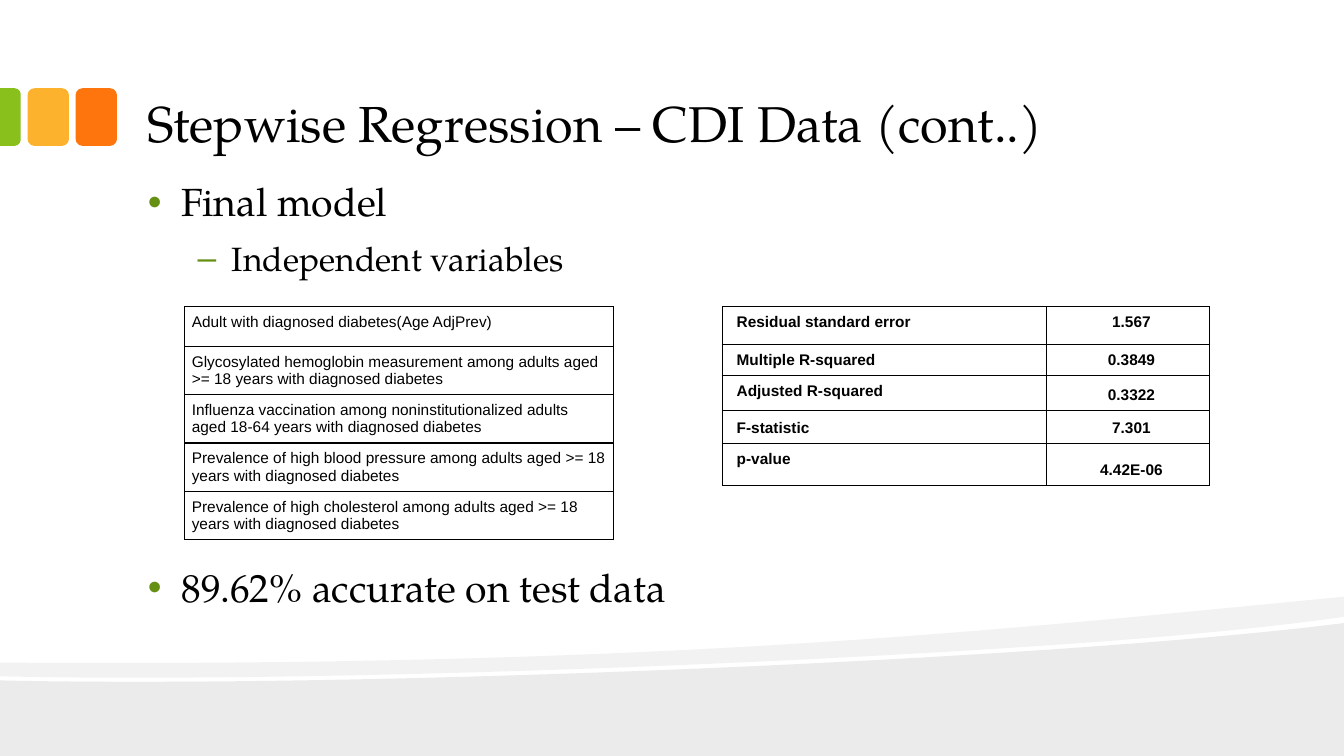
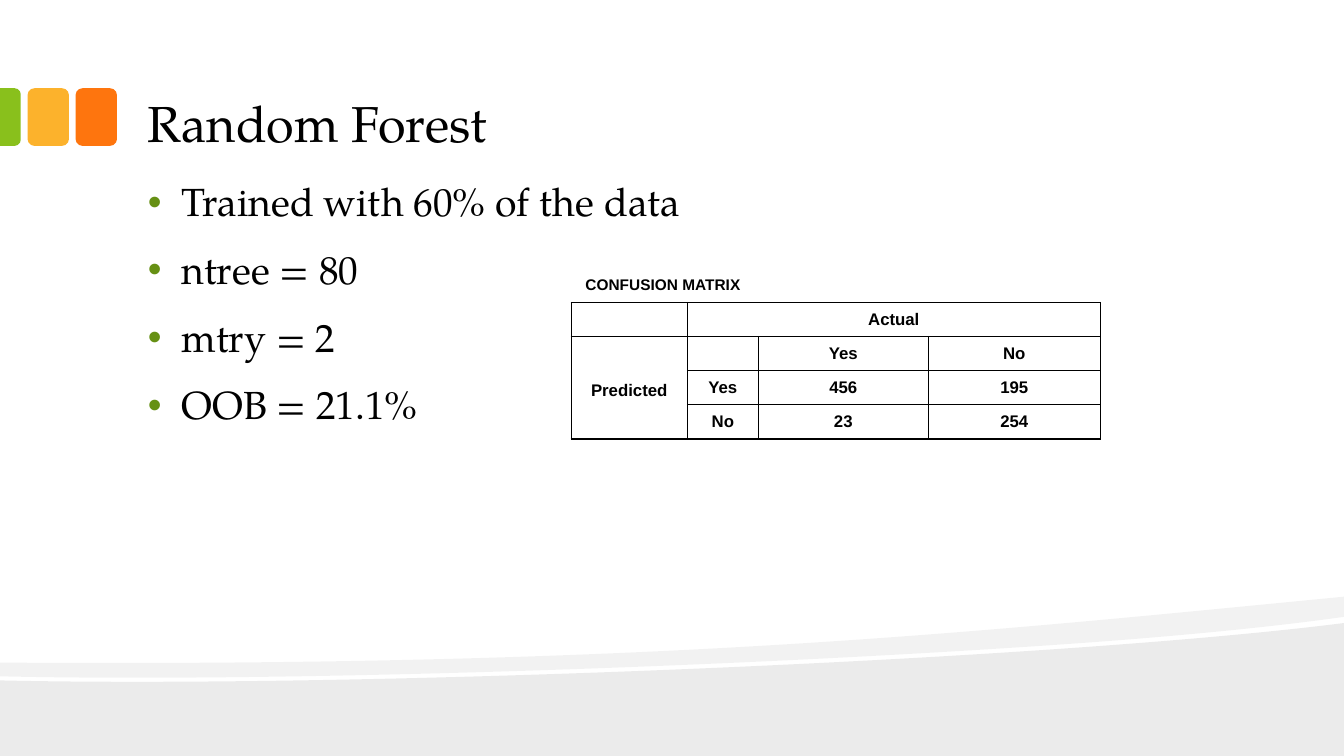
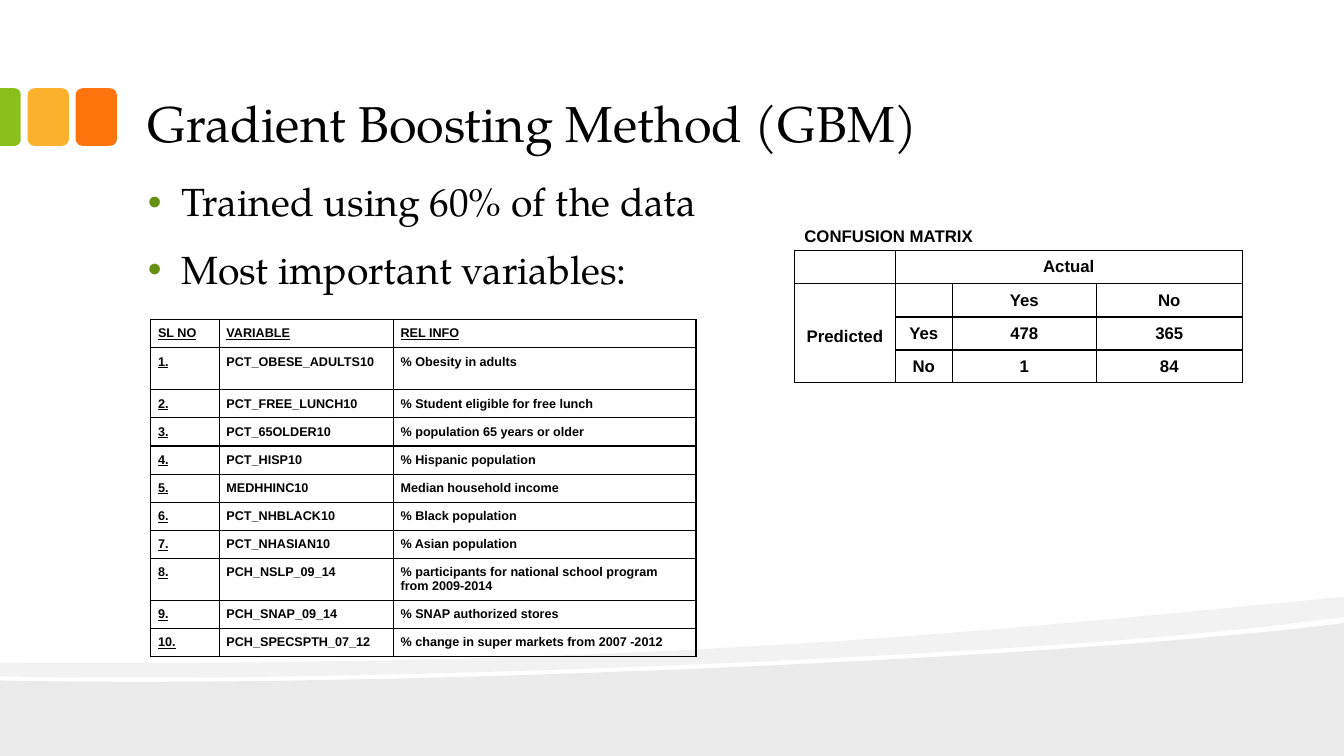
from lxml import etree
from pptx import Presentation
from pptx.dml.color import RGBColor
from pptx.enum.shapes import MSO_SHAPE
from pptx.enum.text import MSO_ANCHOR, MSO_AUTO_SIZE, PP_ALIGN
from pptx.oxml.ns import qn
from pptx.util import Pt

SERIF, SANS = "TeX Gyre Pagella", "Arial"
BLACK, BULLET = "000000", "669014"
GREEN, YELLOW, ORANGE = "89C01C", "FCB22C", "FE750E"
W, H = 960, 540
TITLE_BOX = (96, 12, 768, 101.8)
BODY_BOX = (96, 126, 768, 360)
LEVELS = [  # size, left margin, first-line indent, space before, bullet
    (28, 24, -24, 18, "•"),
    (24, 60, -24.5, 12, "–"),
]


def rgb(hex_text):
    return RGBColor.from_string(hex_text)


def write(p, text, size=12, font=SANS, bold=False, underline=False,
          align=PP_ALIGN.LEFT, color=BLACK):
    p.alignment = align
    if not text:
        # keeps an empty table cell from growing to the default text size
        etree.SubElement(p._p, qn("a:endParaRPr"), sz=str(size * 100))
        return
    r = p.add_run()
    r.text = text
    r.font.size, r.font.name = Pt(size), font
    r.font.bold, r.font.underline = bold, underline
    r.font.color.rgb = rgb(color)


def set_frame(sp, box, margins, anchor):
    sp.left, sp.top, sp.width, sp.height = map(Pt, box)
    tf = sp.text_frame
    tf.word_wrap = True
    tf.auto_size = MSO_AUTO_SIZE.NONE
    tf.vertical_anchor = anchor
    tf.margin_left = tf.margin_right = Pt(margins[0])
    tf.margin_top = tf.margin_bottom = Pt(margins[1])
    return tf


def paint(sp, color, opacity=100):
    sp.shadow.inherit = False
    sp.line.fill.background()
    sp.fill.solid()
    sp.fill.fore_color.rgb = rgb(color)
    if opacity < 100:
        clr = sp.fill._xPr.find(".//" + qn("a:srgbClr"))
        etree.SubElement(clr, qn("a:alpha"), val=str(opacity * 1000))
    return sp


def add_wave(slide, start, segments, opacity):
    """A segment is one point for a line, or three for a Bezier curve."""
    builder = slide.shapes.build_freeform(Pt(start[0]), Pt(start[1]))
    builder.add_line_segments([(Pt(x), Pt(y)) for seg in segments for x, y in seg])
    sp = builder.convert_to_shape()
    outline = sp.element.find(".//" + qn("a:path"))
    lines = iter(outline.findall(qn("a:lnTo")))
    for seg in segments:
        parts = [next(lines) for _ in seg]
        if len(parts) == 3:
            bezier = etree.Element(qn("a:cubicBezTo"))
            parts[0].addprevious(bezier)
            for part in parts:
                bezier.append(part[0])
                outline.remove(part)
    etree.SubElement(outline, qn("a:close"))
    return paint(sp, BLACK, opacity)


def add_waves(slide):
    lower = [[(W, H)], [(0, H)], [(0, 486)],
             [(253.4, 491.8), (750.2, 471.6), (W, 445)]]
    upper = [[(W, 440.6)],
             [(903.6, 448.6), (827.3, 455.8), (740.9, 461.5)],
             [(502.6, 477.4), (185.8, 487.4), (0, 483.1)],
             [(0, 473.3)],
             [(469.4, 476.6), (699.1, 451.4), (W, 426.2)]]
    return [add_wave(slide, (W, 445), lower, 8),
            add_wave(slide, (W, 426.2), upper, 5)]


def add_tabs(slide, top=63, width=29.6, height=41.2):
    tabs = []
    for left, color in ((54, ORANGE), (19.7, YELLOW)):
        sp = slide.shapes.add_shape(MSO_SHAPE.ROUNDED_RECTANGLE,
                                    Pt(left), Pt(top), Pt(width), Pt(height))
        tabs.append(paint(sp, color))
    depth = width / 2
    edge = slide.shapes.add_shape(
        MSO_SHAPE.ROUND_2_SAME_RECTANGLE, Pt((depth - height) / 2),
        Pt(top + (height - depth) / 2), Pt(height), Pt(depth))
    edge.rotation = 90
    edge.adjustments[0] = 0.292
    return tabs + [paint(edge, GREEN)]


def decorate_layout(layout, slide):
    """Draw the shared decoration and move it behind the layout's placeholders."""
    tree = layout.shapes.element
    for i, sp in enumerate(add_waves(slide) + add_tabs(slide)):
        tree.insert(2 + i, sp.element)


def add_bullet(p, text, level, before):
    size, margin, indent, _, mark = LEVELS[level]
    write(p, text, size, SERIF)
    p.level = level
    p.line_spacing = 0.9
    p.space_before = Pt(before)
    pPr = p._p.get_or_add_pPr()
    pPr.set("marL", str(Pt(margin)))
    pPr.set("indent", str(Pt(indent)))
    clr = etree.SubElement(pPr, qn("a:buClr"))
    etree.SubElement(clr, qn("a:srgbClr"), val=BULLET)
    etree.SubElement(pPr, qn("a:buChar"), char=mark)


def add_page(prs, layout, title, bullets):
    """Bullets are (text, level) or (text, level, space before)."""
    slide = prs.slides.add_slide(layout)
    tf = set_frame(slide.shapes.title, TITLE_BOX, (9.6, 4.8), MSO_ANCHOR.BOTTOM)
    write(tf.paragraphs[0], title, 36, SERIF)
    tf = set_frame(slide.placeholders[1], BODY_BOX, (9.6, 4.8), MSO_ANCHOR.TOP)
    for i, (text, level, *before) in enumerate(bullets):
        p = tf.add_paragraph() if i else tf.paragraphs[0]
        gap = before[0] if before else LEVELS[level][3]
        add_bullet(p, text, level, gap if i else 0)
    return slide


def add_borders(cell):
    tcPr = cell._tc.get_or_add_tcPr()
    for i, side in enumerate(("lnL", "lnR", "lnT", "lnB")):
        ln = etree.Element(qn("a:" + side), w=str(Pt(1)))
        fill = etree.SubElement(ln, qn("a:solidFill"))
        etree.SubElement(fill, qn("a:srgbClr"), val=BLACK)
        tcPr.insert(i, ln)


def add_grid(slide, left, top, columns, heights, rows, style,
             margins=(5.2, 5, 5.2, 4.2)):
    """style(row, column) gives a cell's anchor and its text format.

    margins are left, top, right, bottom.
    """
    table = slide.shapes.add_table(len(rows), len(columns), Pt(left), Pt(top),
                                   Pt(sum(columns)), Pt(sum(heights))).table
    table.first_row = table.horz_banding = False
    for column, width in zip(table.columns, columns):
        column.width = Pt(width)
    for row, height in zip(table.rows, heights):
        row.height = Pt(height)
    for i, values in enumerate(rows):
        for j, value in enumerate(values):
            cell = table.cell(i, j)
            anchor, fmt = style(i, j)
            (cell.margin_left, cell.margin_top,
             cell.margin_right, cell.margin_bottom) = map(Pt, margins)
            cell.vertical_anchor = anchor
            cell.fill.background()
            add_borders(cell)
            write(cell.text_frame.paragraphs[0], value, **fmt)
    return table


def add_confusion_matrix(slide, left, top, columns, row_height, counts, caption):
    """counts are the two rows of numbers; caption is (size, inset, height)."""
    (yes_yes, yes_no), (no_yes, no_no) = counts
    rows = [("", "Actual", "", ""), ("Predicted", "", "Yes", "No"),
            ("", "Yes", yes_yes, yes_no), ("", "No", no_yes, no_no)]
    fmt = dict(size=12, bold=True, align=PP_ALIGN.CENTER)
    table = add_grid(slide, left, top, columns, [row_height] * 4, rows,
                     lambda i, j: (MSO_ANCHOR.MIDDLE, fmt), (5, 4.4, 5, 4.8))
    table.cell(0, 1).merge(table.cell(0, 3))
    predicted = table.cell(1, 0)
    predicted.merge(table.cell(3, 0))
    predicted.margin_top = Pt(9.5)
    size, inset, height = caption
    sp = slide.shapes.add_textbox(0, 0, 0, 0)
    tf = set_frame(sp, (left, top - height, sum(columns), height), (inset, 0),
                   MSO_ANCHOR.MIDDLE)
    write(tf.paragraphs[0], "CONFUSION MATRIX", size, bold=True)


def add_predictors(slide, left, top):
    rows = [
        ("Adult with diagnosed diabetes(Age AdjPrev)",),
        ("Glycosylated hemoglobin measurement among adults aged >= 18 years with diagnosed diabetes",),
        ("Influenza vaccination among noninstitutionalized adults aged 18-64 years with diagnosed diabetes",),
        ("Prevalence of high blood pressure among adults aged >= 18 years with diagnosed diabetes",),
        ("Prevalence of high cholesterol among adults aged >= 18 years with diagnosed diabetes",),
    ]
    add_grid(slide, left, top, [306.5], [28.5] + [34.5] * 4, rows,
             lambda i, j: (MSO_ANCHOR.TOP, dict(size=11)))


def add_fit_statistics(slide, left, top):
    rows = [("Residual standard error", "1.567"), ("Multiple R-squared", "0.3849"),
            ("Adjusted R-squared", "0.3322"), ("F-statistic", "7.301"),
            ("p-value", "4.42E-06")]

    def style(i, j):
        low = (j == 1 and i > 0) or i == 3
        return (MSO_ANCHOR.BOTTOM if low else MSO_ANCHOR.TOP,
                dict(size=11, bold=True, align=PP_ALIGN.CENTER if j else PP_ALIGN.LEFT))

    add_grid(slide, left, top, [231.6, 116.3], [27.2, 22.2, 24.8, 23.8, 30], rows,
             style, (10.2, 4.8, 5.2, 5))


def add_variable_ranking(slide, left, top):
    variables = [
        ("PCT_OBESE_ADULTS10", "% Obesity in adults"),
        ("PCT_FREE_LUNCH10", "% Student eligible for free lunch"),
        ("PCT_65OLDER10", "% population 65 years or older"),
        ("PCT_HISP10", "% Hispanic population"),
        ("MEDHHINC10", "Median household income"),
        ("PCT_NHBLACK10", "% Black population"),
        ("PCT_NHASIAN10", "% Asian population"),
        ("PCH_NSLP_09_14", "% participants for national school program from 2009-2014"),
        ("PCH_SNAP_09_14", "% SNAP authorized stores"),
        ("PCH_SPECSPTH_07_12", "% change in super markets from 2007 -2012"),
    ]
    rows = [("SL NO", "VARIABLE", "REL INFO")]
    rows += [(f"{n}.", *variable) for n, variable in enumerate(variables, 1)]
    heights = [30 if i in (1, 8) else 20.1 for i in range(len(rows))]
    add_grid(slide, left, top, [48.9, 124.4, 216.2], heights, rows,
             lambda i, j: (MSO_ANCHOR.TOP,
                           dict(size=9, bold=True, underline=i == 0 or j == 0)),
             (5.2, 4.9, 8, 4.2))


def main():
    prs = Presentation()
    prs.slide_width, prs.slide_height = Pt(W), Pt(H)
    layout = prs.slide_layouts[1]

    stepwise = add_page(prs, layout, "Stepwise Regression – CDI Data (cont..)", [
        ("Final model", 0), ("Independent variables", 1),
        ("89.62% accurate on test data", 0, 207.2)])
    decorate_layout(layout, stepwise)
    add_predictors(stepwise, 131.8, 219)
    add_fit_statistics(stepwise, 516, 219)

    forest = add_page(prs, layout, "Random Forest", [
        ("Trained with 60% of the data", 0), ("ntree = 80", 0),
        ("mtry = 2", 0), ("OOB = 21.1%", 0)])
    add_confusion_matrix(forest, 408, 216, [83, 50.7, 121.4, 122.9], 24.4,
                         (("456", "195"), ("23", "254")), (11, 10.2, 26))

    boosting = add_page(prs, layout, "Gradient Boosting Method (GBM)", [
        ("Trained using 60% of the data", 0), ("Most important variables:", 0)])
    add_variable_ranking(boosting, 107.7, 228.3)
    add_confusion_matrix(boosting, 567.5, 178.8, [72, 40.7, 102.9, 104.3], 23.5,
                         (("478", "365"), ("1", "84")), (12, 7.2, 20.4))

    prs.save("out.pptx")


if __name__ == "__main__":
    main()
